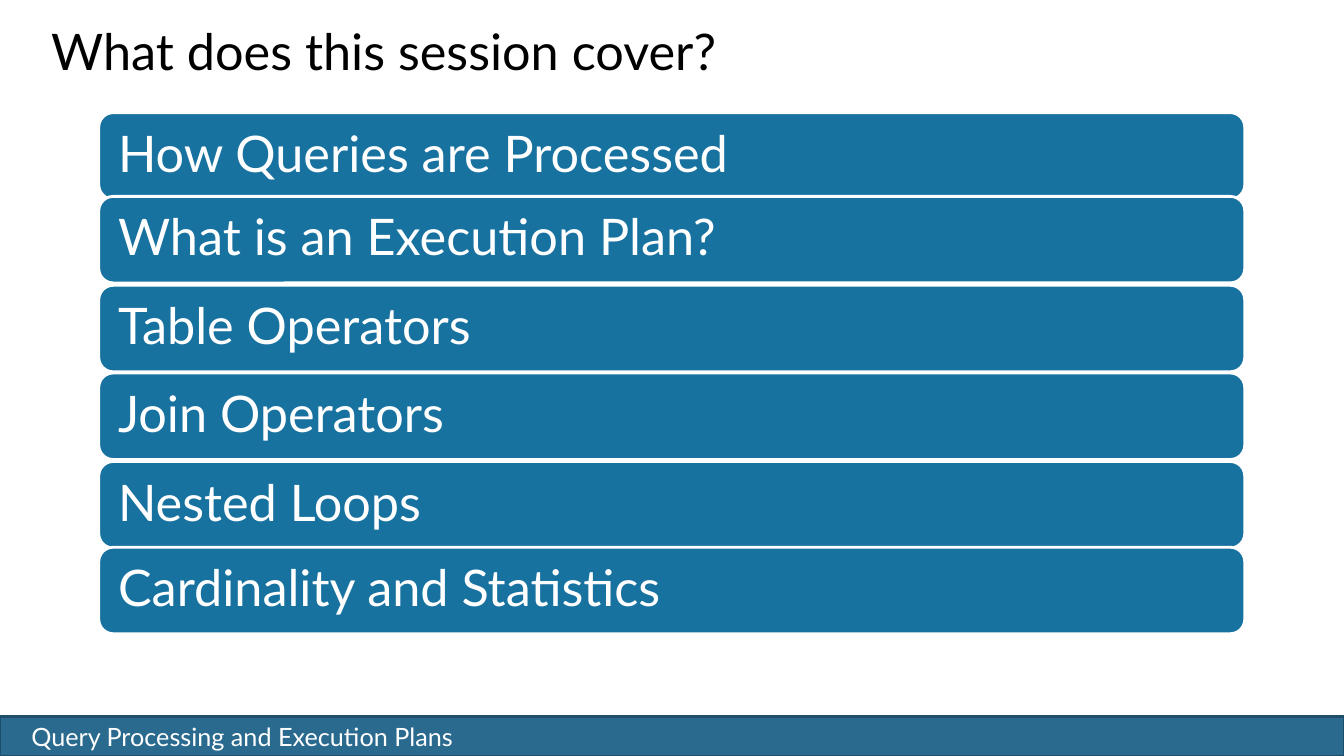
from dataclasses import dataclass

from pptx import Presentation
from pptx.dml.color import RGBColor
from pptx.enum.shapes import MSO_SHAPE
from pptx.enum.text import MSO_ANCHOR, MSO_AUTO_SIZE, PP_ALIGN
from pptx.util import Cm, Pt

RECT, ROUND = MSO_SHAPE.RECTANGLE, MSO_SHAPE.ROUNDED_RECTANGLE
TOP, MIDDLE = MSO_ANCHOR.TOP, MSO_ANCHOR.MIDDLE
LEFT = PP_ALIGN.LEFT
FIXED = MSO_AUTO_SIZE.NONE


@dataclass(frozen=True)
class Theme:
    font: str = "Lato"
    black: str = "000000"
    white: str = "FFFFFF"
    topic: str = "1872A0"
    foot: str = "296A8E"
    edge: str = "1E4E69"
    large: int = 36
    small: int = 18
    border: int = 2


THEME = Theme()

# Topic and top edge in cm
TOPICS = [
    ("How Queries are Processed", 2.84),
    ("What is an Execution Plan?", 4.95),
    ("Table Operators", 7.19),
    ("Join Operators", 9.4),
    ("Nested Loops", 11.63),
    ("Cardinality and Statistics", 13.79),
]


def apply(target, values):
    for name, value in values.items():
        setattr(target, name, value)


def write(shape, text, size, color, anchor, inset, pitch):
    """Fill a shape with one left-aligned line of text."""
    frame = shape.text_frame
    frame.text = text
    apply(frame, {
        "word_wrap": True, "auto_size": FIXED, "vertical_anchor": anchor,
        "margin_left": Cm(inset), "margin_right": Cm(inset),
        "margin_top": Cm(0.13), "margin_bottom": Cm(0.13),
    })
    line = frame.paragraphs[0]
    apply(line, {"alignment": LEFT, "line_spacing": pitch})
    font = line.runs[0].font
    apply(font, {"name": THEME.font, "size": Pt(size)})
    font.color.rgb = RGBColor.from_string(color)


def add_bar(slide, kind, box, fill, edge):
    """Draw a filled, outlined bar; box is left, top, width, height in cm."""
    bar = slide.shapes.add_shape(kind, *map(Cm, box))
    bar.shadow.inherit = False
    bar.fill.solid()
    bar.fill.fore_color.rgb = RGBColor.from_string(fill)
    bar.line.color.rgb = RGBColor.from_string(edge)
    bar.line.width = Pt(THEME.border)
    return bar


def add_title(slide, text):
    title = slide.shapes.title
    apply(title, {"left": Cm(1.04), "top": Cm(0.66),
                  "width": Cm(30.48), "height": Cm(3.18)})
    write(title, text, THEME.large, THEME.black, TOP, 0.25, Pt(35))


def add_topic(slide, text, top):
    box = (2.49, top, 28.88, 2.18)
    bar = add_bar(slide, ROUND, box, THEME.topic, THEME.white)
    write(bar, text, THEME.large, THEME.white, MIDDLE, 0.38, 0.9)


def add_foot(slide, text):
    box = (0, 18.05, 33.87, 1)
    bar = add_bar(slide, RECT, box, THEME.foot, THEME.edge)
    write(bar, text, THEME.small, THEME.white, MIDDLE, 0.79, 1.0)


def main():
    deck = Presentation()
    apply(deck, {"slide_width": Cm(33.87), "slide_height": Cm(19.05)})
    layout = deck.slide_layouts.get_by_name("Title Only")
    slide = deck.slides.add_slide(layout)

    # Footer band and heading
    add_foot(slide, "Query Processing and Execution Plans")
    add_title(slide, "What does this session cover?")

    # Agenda
    for text, top in TOPICS:
        add_topic(slide, text, top)

    deck.save("out.pptx")


if __name__ == "__main__":
    main()
